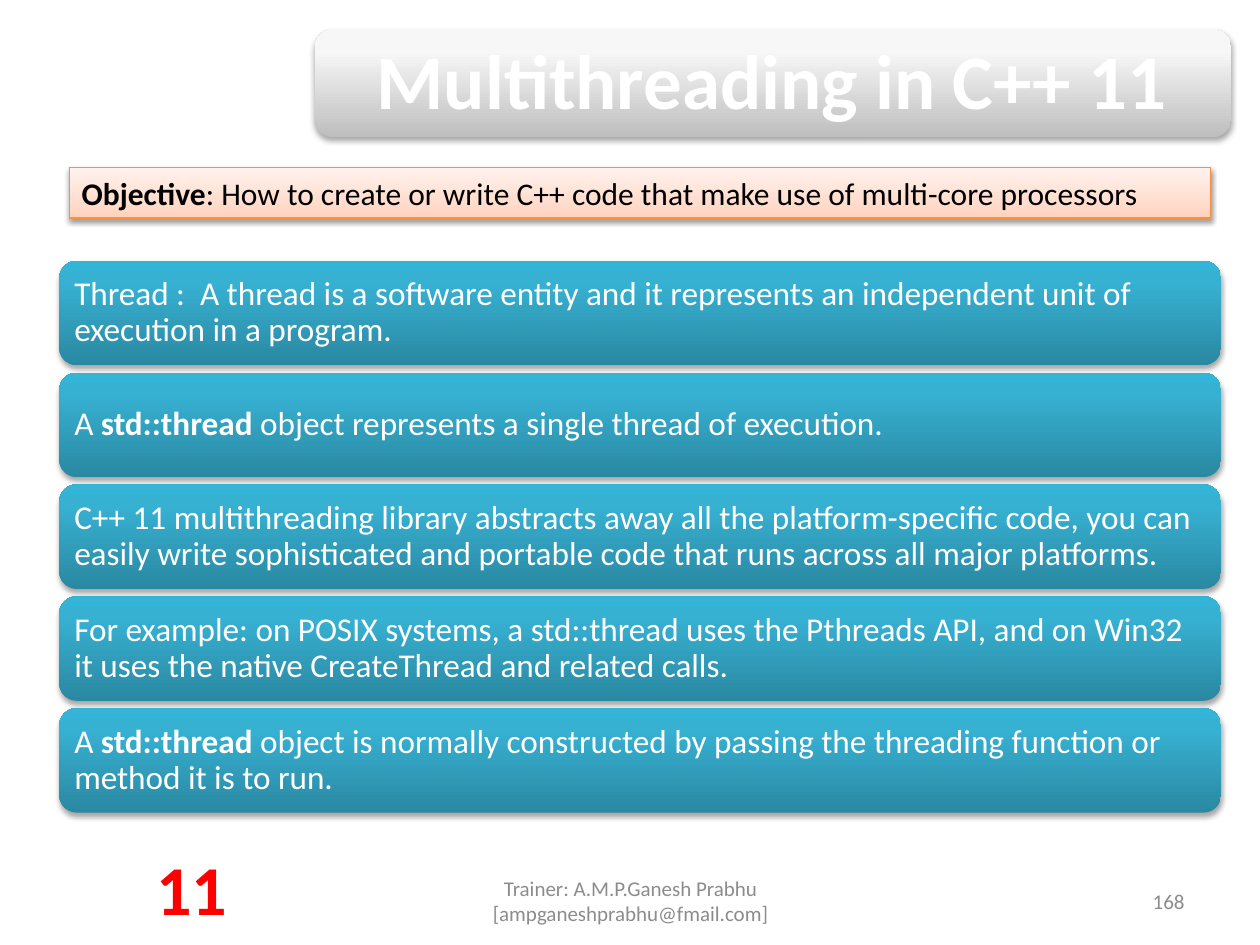
from copy import deepcopy

from lxml import etree
from pptx import Presentation
from pptx.dml.color import RGBColor
from pptx.enum.shapes import MSO_SHAPE
from pptx.enum.text import MSO_ANCHOR, MSO_AUTO_SIZE, PP_ALIGN
from pptx.oxml.ns import qn
from pptx.util import Inches, Pt

ROUNDED, RECT = MSO_SHAPE.ROUNDED_RECTANGLE, MSO_SHAPE.RECTANGLE
TOP, MIDDLE = MSO_ANCHOR.TOP, MSO_ANCHOR.MIDDLE
LEFT, CENTER, RIGHT = PP_ALIGN.LEFT, PP_ALIGN.CENTER, PP_ALIGN.RIGHT
GROW = MSO_AUTO_SIZE.SHAPE_TO_FIT_TEXT

WHITE = RGBColor(0xFF, 0xFF, 0xFF)
BLACK = RGBColor(0x00, 0x00, 0x00)
RED = RGBColor(0xFF, 0x00, 0x00)
GRAY = RGBColor(0x8C, 0x8C, 0x8C)
ORANGE = RGBColor(0xF6, 0x92, 0x40)
SILVER_STOPS = [
    (0, RGBColor(0xBE, 0xBE, 0xBE)),
    (0.8, RGBColor(0xF7, 0xF7, 0xF7)),
    (1, RGBColor(0xF8, 0xF8, 0xF8)),
]
PEACH_STOPS = [
    (0, RGBColor(0xFF, 0xD2, 0xBD)),
    (0.35, RGBColor(0xFF, 0xDE, 0xD0)),
    (1, RGBColor(0xFF, 0xF2, 0xED)),
]
TEAL_STOPS = [
    (0, RGBColor(0x2A, 0x88, 0xA2)),
    (0.8, RGBColor(0x37, 0xB1, 0xD2)),
    (1, RGBColor(0x34, 0xB4, 0xD6)),
]

STATEMENTS = [
    [("Thread :  A thread is a software entity and it represents an "
      "independent unit of execution in a program.", False)],
    [("A ", False), ("std::thread", True),
     (" object represents a single thread of execution.", False)],
    [("C++ 11 multithreading library abstracts away all the platform-specific "
      "code, you can easily write sophisticated and portable code that runs "
      "across all major platforms.", False)],
    [("For example: on POSIX systems, a std::thread uses the Pthreads API, and "
      "on Win32 it uses the native CreateThread and related calls.", False)],
    [("A ", False), ("std::thread ", True),
     ("object is normally constructed by passing the threading function or "
      "method it is to run.", False)],
]


class SlideBuilder:
    font = "Calibri"

    def __init__(self, s):
        self.s = s

    def panel(self, box, kind, stops, line=None, alpha=35, distance=1.8):
        sp = self.s.shapes.add_shape(kind, *map(Inches, box))
        self.gradient(sp, stops)
        if line is None:
            sp.line.fill.background()
        else:
            sp.line.color.rgb = line
            sp.line.width = Pt(0.75)
        self.shadow(sp, alpha, distance)
        return sp

    def gradient(self, sp, stops):
        sp.fill.gradient()
        sp.fill.gradient_angle = 90
        stop_list = sp._element.spPr.find(qn("a:gradFill")).find(qn("a:gsLst"))
        stop_list.append(deepcopy(stop_list[-1]))
        for stop, (position, color) in zip(sp.fill.gradient_stops, stops):
            stop.position = position
            stop.color.rgb = color

    def shadow(self, sp, alpha, distance):
        sp.shadow.inherit = False
        effects = sp._element.spPr.find(qn("a:effectLst"))
        outer = etree.SubElement(
            effects, qn("a:outerShdw"), blurRad=str(Pt(3.1)),
            dist=str(Pt(distance)), dir="5400000", rotWithShape="0")
        color = etree.SubElement(outer, qn("a:srgbClr"), val=str(BLACK))
        etree.SubElement(color, qn("a:alpha"), val=str(alpha * 1000))

    def text(self, box, runs, size, color, align=LEFT, anchor=MIDDLE,
             inset=None, spacing=None):
        sp = self.s.shapes.add_textbox(*map(Inches, box))
        self.set_runs(sp, runs, size, color, align, anchor)
        tf = sp.text_frame
        if inset is not None:
            tf.margin_left = tf.margin_right = Inches(inset)
            tf.margin_top = tf.margin_bottom = Inches(inset)
        if spacing is not None:
            tf.paragraphs[0].line_spacing = spacing
        return sp

    def set_runs(self, sp, runs, size, color, align=LEFT, anchor=MIDDLE):
        tf = sp.text_frame
        tf.word_wrap = True
        tf.vertical_anchor = anchor
        p = tf.paragraphs[0]
        p.alignment = align
        for words, bold in runs:
            r = p.add_run()
            r.text = words
            r.font.name = self.font
            r.font.size = Pt(size)
            r.font.bold = bold
            r.font.color.rgb = color


def main():
    prs = Presentation()
    prs.slide_width, prs.slide_height = Inches(10), Inches(7.5)
    slide = SlideBuilder(prs.slides.add_slide(prs.slide_layouts[6]))

    slide.panel((2.5, 0.23, 7.27, 0.86), ROUNDED, SILVER_STOPS)
    slide.text((2.54, 0.28, 7.18, 0.78), [("Multithreading in C++ 11", True)],
               44, WHITE, CENTER, inset=0.18, spacing=0.9)

    objective = slide.panel((0.55, 1.33, 9.06, 0.4), RECT, PEACH_STOPS,
                            line=ORANGE, alpha=38, distance=1.6)
    slide.set_runs(objective, [
        ("Objective", True),
        (": How to create or write C++ code that make use of multi-core "
         "processors", False),
    ], 18, BLACK, anchor=TOP)
    objective.text_frame.auto_size = GROW

    first_top, last_top = 2.07, 5.62
    pitch = (last_top - first_top) / (len(STATEMENTS) - 1)
    for i, runs in enumerate(STATEMENTS):
        top = first_top + i * pitch
        slide.panel((0.47, top, 9.22, 0.83), ROUNDED, TEAL_STOPS)
        slide.text((0.51, top + 0.04, 9.14, 0.75), runs, 19, WHITE,
                   inset=0.08, spacing=0.9)

    slide.text((3.42, 6.95, 3.17, 0.4),
               [("Trainer: A.M.P.Ganesh Prabhu [ampganeshprabhu@fmail.com]", False)],
               12, GRAY, CENTER)
    slide.text((7.17, 6.95, 2.33, 0.4), [("168", False)], 12, GRAY, RIGHT)
    badge = slide.text((1.13, 6.66, 0.78, 0.77), [("11", True)], 40, RED,
                       CENTER, TOP)
    badge.text_frame.auto_size = GROW

    prs.save("out.pptx")


if __name__ == "__main__":
    main()
